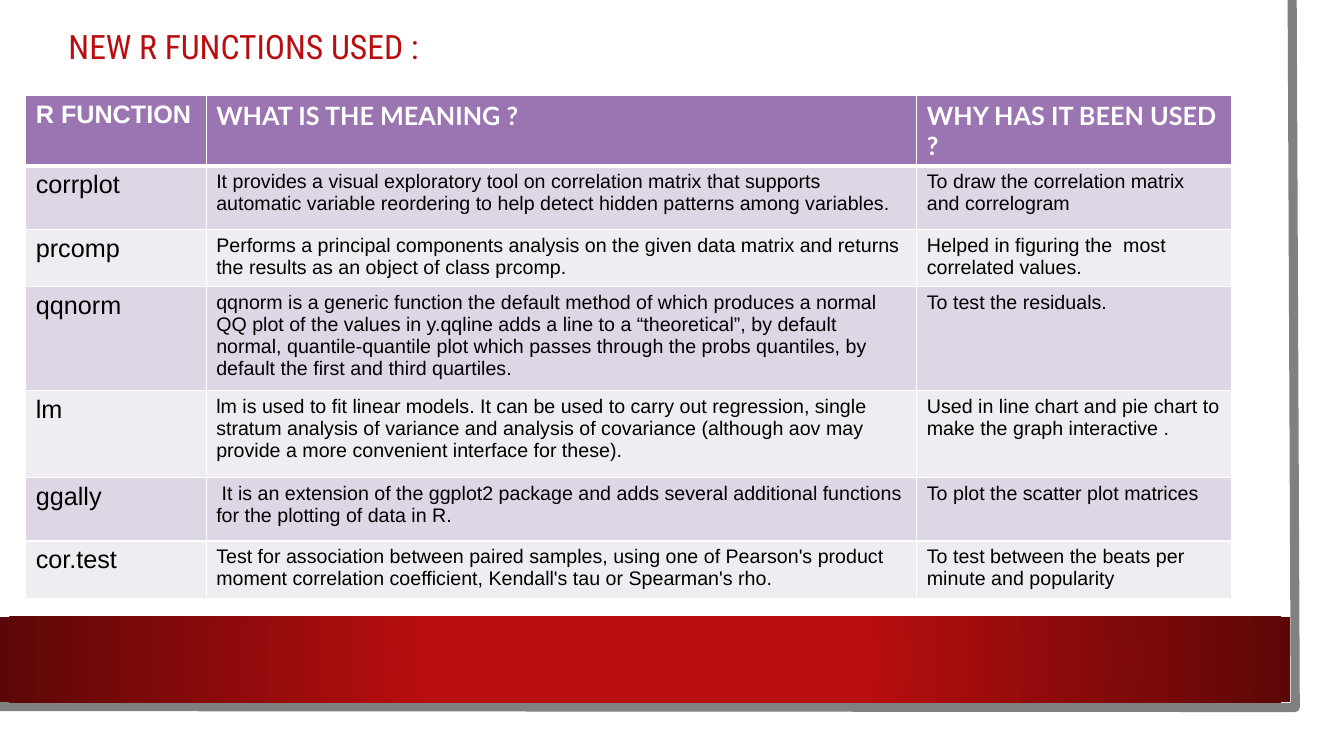
import lxml.etree
import pptx
import pptx.dml.color
import pptx.enum.shapes
import pptx.enum.text
import pptx.oxml
import pptx.oxml.ns
import pptx.util

Pt = pptx.util.Pt
RED, DARK_RED, GREY, WHITE, BLACK = "B80E0F", "5C0707", "808080", "FFFFFF", "000000"
PURPLE, BANDS = "9B75B2", ("DED6E4", "EFECF2")

COLUMN_WIDTHS = (128.9, 507.6, 224.6)
ROW_HEIGHTS = (46.8, 45.4, 38.2, 69, 61.9, 45.4, 38.2)
FUNCTION_ROWS = (
    ("R FUNCTION", "WHAT IS THE MEANING ?", "WHY HAS IT BEEN USED ?"),
    ("corrplot",
     "It provides a visual exploratory tool on correlation matrix that supports automatic "
     "variable reordering to help detect hidden patterns among variables.",
     "To draw the correlation matrix and correlogram"),
    ("prcomp",
     "Performs a principal components analysis on the given data matrix and returns the "
     "results as an object of class prcomp.",
     "Helped in figuring the  most correlated values."),
    ("qqnorm",
     "qqnorm is a generic function the default method of which produces a normal QQ plot of "
     "the values in y.qqline adds a line to a “theoretical”, by default normal, "
     "quantile-quantile plot which passes through the probs quantiles, by default the first "
     "and third quartiles.",
     "To test the residuals."),
    ("lm",
     "lm is used to fit linear models. It can be used to carry out regression, single stratum "
     "analysis of variance and analysis of covariance (although aov may provide a more "
     "convenient interface for these).",
     "Used in line chart and pie chart to make the graph interactive ."),
    ("ggally",
     " It is an extension of the ggplot2 package and adds several additional functions for "
     "the plotting of data in R.",
     "To plot the scatter plot matrices"),
    ("cor.test",
     "Test for association between paired samples, using one of Pearson's product moment "
     "correlation coefficient, Kendall's tau or Spearman's rho.",
     "To test between the beats per minute and popularity"),
)


def color(hex_text):
    return pptx.dml.color.RGBColor.from_string(hex_text)


def parse_drawing(xml):
    return lxml.etree.fromstring(xml, pptx.oxml.oxml_parser)


class Page:
    """Holds the text style and the current slide."""
    body_font = "Arial"
    heading_font = "Lato"
    title_font = "Roboto Condensed"
    namespace = pptx.oxml.ns.nsdecls("a")

    def __init__(self, deck):
        self.shapes = deck.slides.add_slide(deck.slide_layouts[6]).shapes

    def span(self, para, text, size, font, hue, bold=False):
        span = para.add_run()
        span.text = text
        span.font.size, span.font.name, span.font.bold = Pt(size), font, bold
        span.font.color.rgb = color(hue)

    def panel(self, left, top, width, height, fill):
        panel = self.shapes.add_shape(pptx.enum.shapes.MSO_SHAPE.RECTANGLE,
                                      Pt(left), Pt(top), Pt(width), Pt(height))
        panel.shadow.inherit = False
        panel.line.fill.background()
        panel.fill.solid()
        panel.fill.fore_color.rgb = color(fill)
        return panel

    def radial_panel(self, left, top, width, height, inner, outer, start):
        panel = self.panel(left, top, width, height, inner)
        solid = panel.fill._xPr.find(pptx.oxml.ns.qn("a:solidFill"))
        solid.getparent().replace(solid, parse_drawing(
            f'<a:gradFill {self.namespace} rotWithShape="1"><a:gsLst>'
            f'<a:gs pos="{start * 1000}"><a:srgbClr val="{inner}"/></a:gs>'
            f'<a:gs pos="100000"><a:srgbClr val="{outer}"/></a:gs></a:gsLst>'
            '<a:path path="circle"><a:fillToRect l="50000" t="50000" r="50000" b="50000"/>'
            '</a:path></a:gradFill>'))

    def open_line(self, points, hue, width):
        corners = [(Pt(x), Pt(y)) for x, y in points]
        builder = self.shapes.build_freeform(*corners[0])
        builder.add_line_segments(corners[1:], close=False)
        edge = builder.convert_to_shape()
        edge.shadow.inherit = False
        edge.fill.background()
        edge.line.color.rgb = color(hue)
        edge.line.width = Pt(width)

    def title(self, left, top, width, height, text):
        box = self.shapes.add_textbox(Pt(left), Pt(top), Pt(width), Pt(height))
        box.text_frame.word_wrap = True
        box.text_frame.vertical_anchor = pptx.enum.text.MSO_ANCHOR.MIDDLE
        para = box.text_frame.paragraphs[0]
        para.line_spacing = 0.9
        self.span(para, text, 24, self.title_font, RED)

    def cell_borders(self, cell, bottom):
        properties = cell._tc.get_or_add_tcPr()
        for side, width in (("L", 1), ("R", 1), ("T", 1), ("B", bottom)):
            properties.append(parse_drawing(
                f'<a:ln{side} {self.namespace} w="{Pt(width)}"><a:solidFill>'
                f'<a:srgbClr val="{WHITE}"/></a:solidFill></a:ln{side}>'))

    def table(self, left, top, widths, heights, rows):
        table = self.shapes.add_table(len(rows), len(widths), Pt(left), Pt(top),
                                      Pt(sum(widths)), Pt(sum(heights))).table
        for column, width in zip(table.columns, widths):
            column.width = Pt(width)
        for row, height in zip(table.rows, heights):
            row.height = Pt(height)
        for i, texts in enumerate(rows):
            header = i == 0
            for j, text in enumerate(texts):
                cell = table.cell(i, j)
                # The header, or a bottom edge shared with it, is heavier
                self.cell_borders(cell, 3 if header else 1)
                cell.fill.solid()
                cell.fill.fore_color.rgb = color(PURPLE if header else BANDS[(i - 1) % 2])
                self.span(cell.text_frame.paragraphs[0], text,
                          18 if header or j == 0 else 14,
                          self.heading_font if header and j else self.body_font,
                          WHITE if header else BLACK, header)


def main():
    deck = pptx.Presentation()
    deck.slide_width, deck.slide_height = Pt(960), Pt(540)
    page = Page(deck)

    # Sheet with a grey edge and a red band
    page.panel(0, 0, 943.2, 523.4, WHITE)
    page.open_line([(923, 0), (925.2, 505.4), (-2.2, 504.7)], GREY, 6.5)
    page.radial_panel(0, 440.6, 921.6, 61.2, RED, DARK_RED, 34)

    # Title and table of functions
    page.title(41.8, -10.8, 812.9, 90.7, "NEW R FUNCTIONS USED :")
    page.table(18.4, 68, COLUMN_WIDTHS, ROW_HEIGHTS, FUNCTION_ROWS)

    deck.save("out.pptx")


if __name__ == "__main__":
    main()
